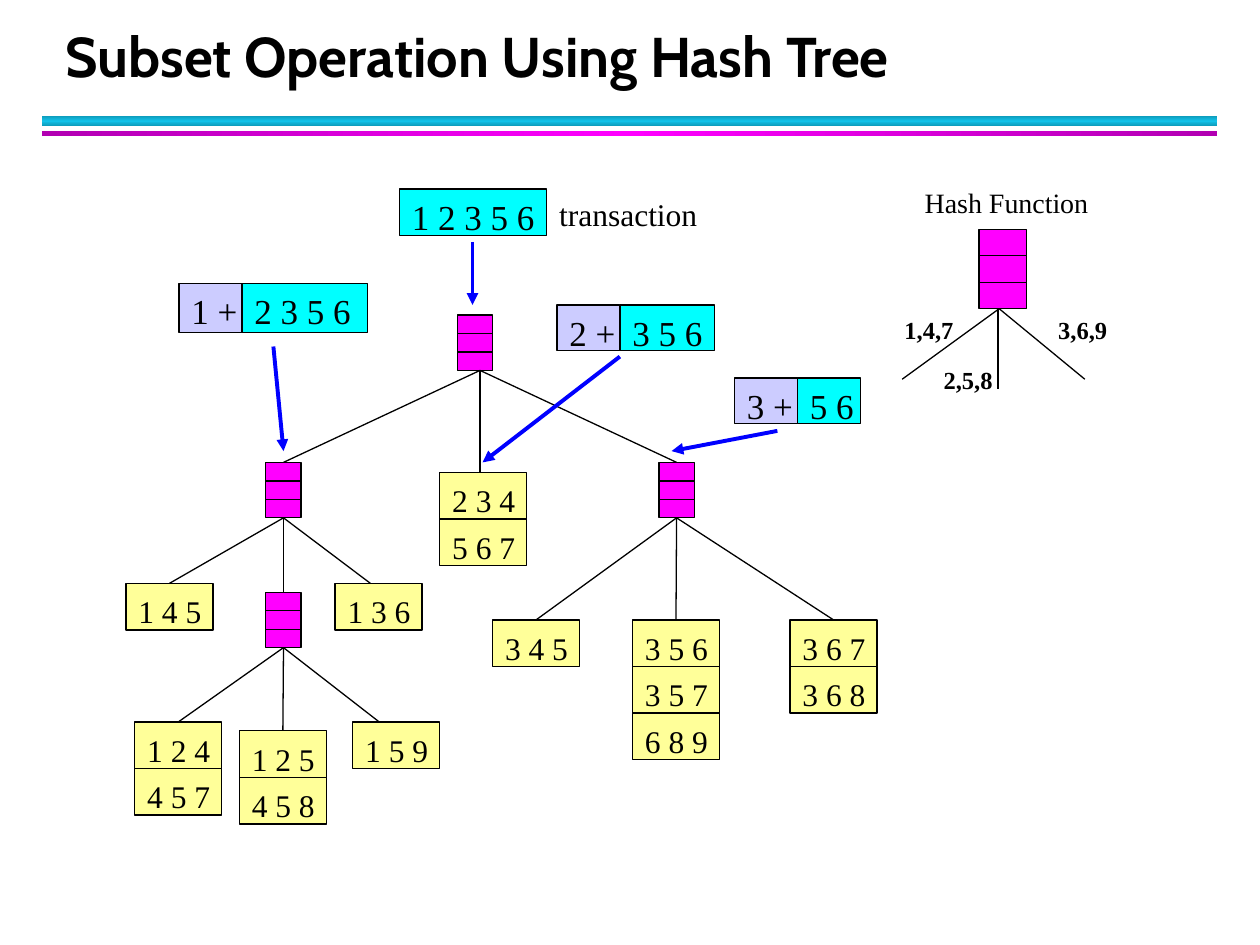
from pptx import Presentation
from pptx.dml.color import RGBColor as Rgb
from pptx.enum.shapes import MSO_CONNECTOR as Conn, MSO_SHAPE as Kind
from pptx.enum.text import MSO_ANCHOR as Anchor, PP_ALIGN as Align
from pptx.oxml.ns import qn
from pptx.util import Inches, Pt
from lxml.etree import SubElement as Sub

HEX = {"ink": "000000", "hash": "FF00FF", "leaf": "FFFF99", "rest": "00FFFF",
       "head": "CCCCFF", "arrow": "0000FF", "teal": "0E9BBA", "aqua": "12C2E9",
       "plum": "B200B2"}
SERIF = "Times New Roman"
TITLE = "Subset Operation Using Hash Tree"

BARS = [(0.92, 0.08, "teal", "aqua", 90), (1.04, 0.04, "plum", "hash", 0)]

HASHES = {"root": (3.63, 2.5), "left": (2.11, 3.67),
          "right": (5.23, 3.67), "low": (2.11, 4.7)}
LEAVES = {
    "mid": (3.49, 3.75, ["2 3 4", "5 6 7"]),
    "145": (1, 4.63, ["1 4 5"]),
    "136": (2.66, 4.63, ["1 3 6"]),
    "345": (3.91, 4.92, ["3 4 5"]),
    "356": (5.02, 4.92, ["3 5 6", "3 5 7", "6 8 9"]),
    "367": (6.27, 4.92, ["3 6 7", "3 6 8"]),
    "124": (1.07, 5.73, ["1 2 4", "4 5 7"]),
    "125": (1.9, 5.8, ["1 2 5", "4 5 8"]),
    "159": (2.8, 5.73, ["1 5 9"]),
}
EDGES = {
    ("root", 3.81): [("left", 2.25), ("mid", 3.81), ("right", 5.37)],
    ("left", 2.25): [("145", 1.35), ("low", 2.25), ("136", 2.94)],
    ("right", 5.37): [("345", 4.26), ("356", 5.37), ("367", 6.61)],
    ("low", 2.25): [("124", 1.42), ("125", 2.25), ("159", 3.01)],
}
SETS = [
    ("1 2 3 5 6", 3.17, 1.5, 1.17, 0.37, "rest"),
    ("1 +", 1.42, 2.25, 0.5, 0.39, "head"),
    ("2 3 5 6", 1.92, 2.25, 1, 0.39, "rest"),
    ("2 +", 4.42, 2.42, 0.5, 0.36, "head"),
    ("3 5 6", 4.92, 2.42, 0.75, 0.36, "rest"),
    ("3 +", 5.83, 3, 0.5, 0.36, "head"),
    ("5 6", 6.33, 3, 0.5, 0.36, "rest"),
]
ARROWS = [(3.75, 1.92, 3.75, 2.42), (2.17, 2.75, 2.25, 3.58),
          (4.92, 2.83, 3.83, 3.67), (6.17, 3.42, 5.33, 3.58)]
KEY = (7.77, 1.82, 0.38, 0.63)
RAYS = [(7.93, 7.16, 3.01), (7.92, 7.92, 3.09), (7.93, 8.61, 3.01)]
LABELS = [
    ("Hash Function", 7.24, 1.42, 1.55, 0.37, 16, False),
    ("1,4,7", 7.08, 2.45, 0.65, 0.34, 14, True),
    ("2,5,8", 7.39, 2.85, 0.65, 0.34, 14, True),
    ("3,6,9", 8.3, 2.45, 0.65, 0.34, 14, True),
    ("transaction", 4.34, 1.5, 1.4, 0.4, 18, False),
]
HASH_W, HASH_H = 0.28, 0.44
LEAF_W, LEAF_H = 0.69, 0.37
NEAR = Inches(0.02)

deck = Presentation()
deck.slide_width, deck.slide_height = Inches(10), Inches(7.5)
slide = deck.slides.add_slide(deck.slide_layouts[6])
shapes = slide.shapes


def tint(name):
    return Rgb.from_string(HEX[name])


def write(shape, text, size, bold=False, font=SERIF):
    para = shape.text_frame.paragraphs[0]
    para.text = text
    para.alignment = Align.LEFT
    para.font.name, para.font.size, para.font.bold = font, Pt(size), bold
    para.font.color.rgb = tint("ink")
    return para


def rect(x, y, w, h):
    shape = shapes.add_shape(Kind.RECTANGLE, *map(Inches, (x, y, w, h)))
    shape.shadow.inherit = False
    return shape


def box(x, y, w, h, fill, text="", size=18, top=0.07):
    shape = rect(x, y, w, h)
    shape.fill.solid()
    shape.fill.fore_color.rgb = tint(fill)
    shape.line.color.rgb = tint("ink")
    shape.line.width = Pt(0.75)
    if text:
        frame = shape.text_frame
        frame.vertical_anchor = Anchor.TOP
        frame.margin_left, frame.margin_top = Inches(0.1), Inches(top)
        frame.margin_right = frame.margin_bottom = 0
        write(shape, text, size)
    return shape


def line(x1, y1, x2, y2, color="ink", width=0.75):
    link = shapes.add_connector(Conn.STRAIGHT, *map(Inches, (x1, y1, x2, y2)))
    link.line.color.rgb = tint(color)
    link.line.width = Pt(width)
    Sub(link._element.spPr, qn("a:effectLst"))
    return link


def table(x, y, w, h):
    shape = box(x, y, w, h, "hash")
    for step in (1, 2):
        row = y + h * step / 3
        line(x, row, x + w, row)
    return shape


def label(text, x, y, w, h, size, bold, font=SERIF):
    shape = shapes.add_textbox(*map(Inches, (x, y, w, h)))
    shape.text_frame.word_wrap = False
    return shape, write(shape, text, size, bold, font)


def centred(shape, x):
    return abs(shape.left + shape.width / 2 - Inches(x)) < NEAR


for y, h, edge, core, angle in BARS:
    bar = rect(0.33, y, 9.33, h)
    bar.line.fill.background()
    bar.fill.gradient()
    bar.fill.gradient_angle = angle
    stops = bar.fill._fill._gradFill.gsLst
    for stop in list(stops):
        stops.remove(stop)
    for spot, name in ((0, edge), (50, core), (100, edge)):
        stop = Sub(stops, qn("a:gs"), pos=str(spot * 1000))
        Sub(stop, qn("a:srgbClr"), val=HEX[name])

title, para = label(TITLE, 0.42, 0.17, 9.06, 0.58, 32, True, "Cabin")
title.text_frame.word_wrap = True
title.text_frame.vertical_anchor = Anchor.BOTTOM
para.line_spacing = Pt(36)

nodes = {name: table(x, y, HASH_W, HASH_H) for name, (x, y) in HASHES.items()}
for name, (x, y, items) in LEAVES.items():
    stack = [box(x, y + i * LEAF_H, LEAF_W, LEAF_H, "leaf", item)
             for i, item in enumerate(items)]
    nodes[name] = stack[0]

for (name, x1), kids in EDGES.items():
    start = nodes[name]
    for kid, x2 in kids:
        end = nodes[kid]
        link = line(x1, HASHES[name][1] + HASH_H, x2, end.top.inches)
        if centred(start, x1):
            link.begin_connect(start, 2)
        if centred(end, x2):
            link.end_connect(end, 0)

for text, x, y, w, h, fill in SETS:
    box(x, y, w, h, fill, text, 20, 0.05)

for ends in ARROWS:
    arrow = line(*ends, "arrow", 2.25)
    Sub(arrow.line._get_or_add_ln(), qn("a:tailEnd"), type="triangle")

table(*KEY)
for x1, x2, y2 in RAYS:
    line(x1, KEY[1] + KEY[3], x2, y2)
for item in LABELS:
    label(*item)

deck.save("out.pptx")
